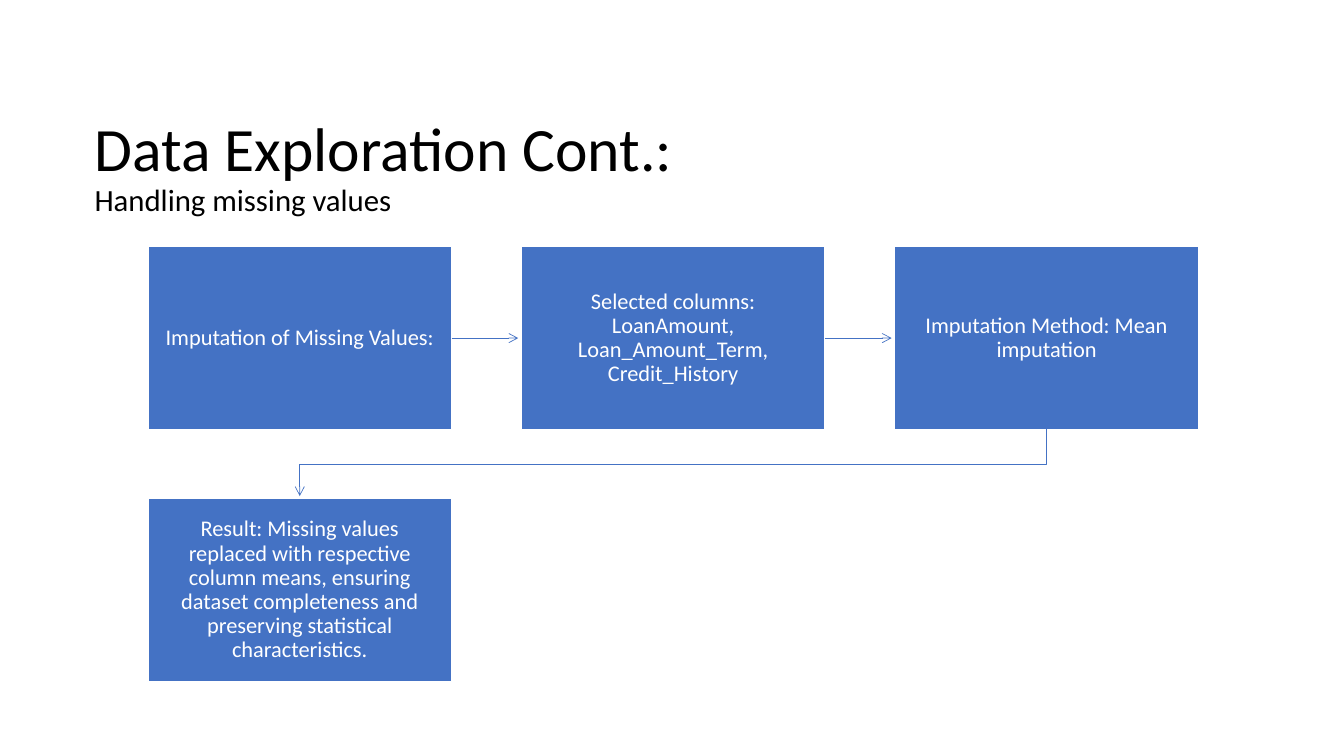
import lxml.etree
import pptx
import pptx.dml.color
import pptx.enum.shapes
import pptx.enum.text
import pptx.oxml.ns
import pptx.util
from pptx.util import Cm

BLUE = pptx.dml.color.RGBColor(0x44, 0x72, 0xC4)
WHITE = pptx.dml.color.RGBColor(0xFF, 0xFF, 0xFF)
BLACK = pptx.dml.color.RGBColor(0x00, 0x00, 0x00)

LEFT, TOP = 3.73, 6.22
BOX_WIDTH, BOX_HEIGHT = 7.65, 4.6
COLUMN_PITCH, ROW_PITCH = 9.41, 6.35
ARROW_LENGTH = 1.68
TURN_DROP = 0.87
COLUMNS = 3

STEPS = [
    "Imputation of Missing Values:",
    "Selected columns: LoanAmount, Loan_Amount_Term, Credit_History",
    "Imputation Method: Mean imputation",
    "Result: Missing values replaced with respective column means, "
    "ensuring dataset completeness and preserving statistical characteristics.",
]


class FlowSlide:
    font = "Calibri"

    def __init__(self, slide):
        self.slide = slide

    def format_run(self, run, size, color):
        run.font.name = self.font
        run.font.size = pptx.util.Pt(size)
        run.font.color.rgb = color

    def title(self, heading, subheading):
        title = self.slide.shapes.title
        title.left, title.top = Cm(2.13), Cm(2.64)
        title.width, title.height = Cm(29.92), Cm(3.2)
        frame = title.text_frame
        frame.text = f"{heading}\v{subheading}"
        frame.auto_size = pptx.enum.text.MSO_AUTO_SIZE.NONE
        frame.vertical_anchor = pptx.enum.text.MSO_ANCHOR.MIDDLE
        paragraph = frame.paragraphs[0]
        paragraph.alignment = pptx.enum.text.PP_ALIGN.LEFT
        paragraph.line_spacing = 0.9
        for run, size in zip(paragraph.runs, (44, 22)):
            self.format_run(run, size, BLACK)

    def step(self, text, column, row):
        box = self.slide.shapes.add_shape(
            pptx.enum.shapes.MSO_SHAPE.RECTANGLE,
            Cm(LEFT + column * COLUMN_PITCH), Cm(TOP + row * ROW_PITCH),
            Cm(BOX_WIDTH), Cm(BOX_HEIGHT))
        box.shadow.inherit = False
        box.fill.solid()
        box.fill.fore_color.rgb = BLUE
        box.line.color.rgb = WHITE
        box.line.width = pptx.util.Pt(1)
        frame = box.text_frame
        frame.text = text
        frame.word_wrap = True
        frame.vertical_anchor = pptx.enum.text.MSO_ANCHOR.MIDDLE
        frame.margin_left = frame.margin_right = Cm(0.38)
        frame.margin_top = frame.margin_bottom = Cm(0.38)
        paragraph = frame.paragraphs[0]
        paragraph.alignment = pptx.enum.text.PP_ALIGN.CENTER
        paragraph.line_spacing = 0.9
        self.format_run(paragraph.runs[0], 16, WHITE)
        return box

    def arrow_style(self, line):
        line.color.rgb = BLUE
        line.width = pptx.util.Pt(0.5)
        outline = line.color._xFill.getparent()
        lxml.etree.SubElement(outline, pptx.oxml.ns.qn("a:tailEnd"), type="arrow")

    def arrow_right(self, step):
        """Lead from the step's right side to just short of the next one."""
        start = step.left + step.width
        middle = step.top + step.height // 2
        arrow = self.slide.shapes.add_connector(
            pptx.enum.shapes.MSO_CONNECTOR.STRAIGHT,
            start, middle, start + Cm(ARROW_LENGTH), middle)
        arrow.begin_connect(step, 3)
        self.arrow_style(arrow.line)
        lxml.etree.SubElement(arrow._element.spPr, pptx.oxml.ns.qn("a:effectLst"))

    def arrow_to_next_row(self, last, first):
        """Lead from the end of one row down to the start of the next."""
        start_x = last.left + last.width // 2
        end_x = first.left + first.width // 2
        bottom = last.top + last.height
        turn = bottom + Cm(TURN_DROP)
        builder = self.slide.shapes.build_freeform(start_x, bottom)
        builder.add_line_segments(
            [(start_x, turn), (end_x, turn), (end_x, bottom + Cm(ARROW_LENGTH))],
            close=False)
        arrow = builder.convert_to_shape()
        arrow.shadow.inherit = False
        arrow.fill.background()
        self.arrow_style(arrow.line)


def main():
    presentation = pptx.Presentation()
    presentation.slide_width = Cm(33.87)
    presentation.slide_height = Cm(19.05)
    title_only = presentation.slide_layouts[5]
    flow = FlowSlide(presentation.slides.add_slide(title_only))

    flow.title("Data Exploration Cont.:", "Handling missing values")
    steps = [flow.step(text, i % COLUMNS, i // COLUMNS)
             for i, text in enumerate(STEPS)]
    for step in steps[:COLUMNS - 1]:
        flow.arrow_right(step)
    flow.arrow_to_next_row(steps[COLUMNS - 1], steps[COLUMNS])

    presentation.save("out.pptx")


if __name__ == "__main__":
    main()
